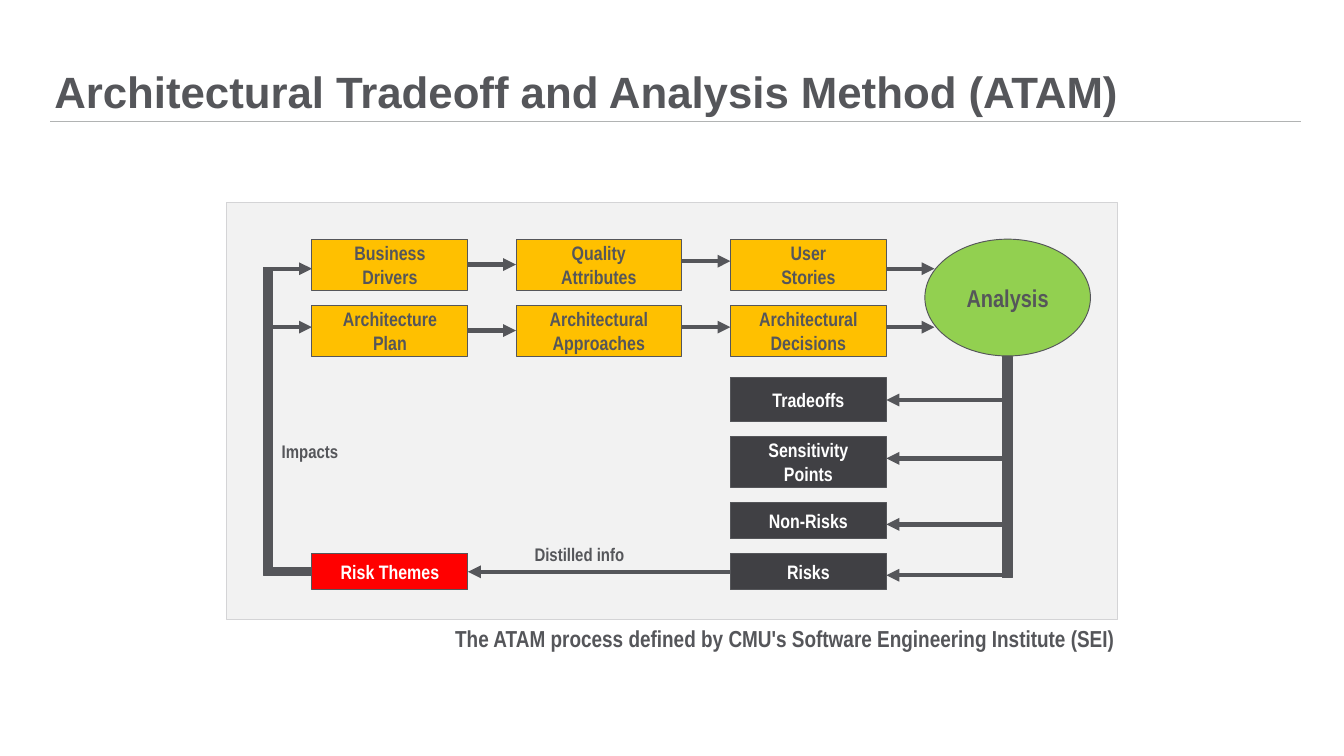
import pptx
import pptx.util
import pptx.dml.color
import pptx.enum.shapes
import pptx.enum.text
import pptx.oxml.ns
from lxml import etree

PX = 9144  # 100 px to the inch
RGB = pptx.dml.color.RGBColor
SHAPE = pptx.enum.shapes.MSO_SHAPE
ALIGN = pptx.enum.text.PP_ALIGN
ANCHOR = pptx.enum.text.MSO_ANCHOR
AUTO = pptx.enum.text.MSO_AUTO_SIZE

GREY, DARK, WHITE = RGB(0x55, 0x56, 0x5A), RGB(0x40, 0x40, 0x44), RGB(255, 255, 255)
AMBER, GREEN, RED = RGB(0xFF, 0xC0, 0), RGB(0x92, 0xD0, 0x50), RGB(255, 0, 0)
PANEL, PANEL_EDGE, RULE = RGB(0xF2, 0xF2, 0xF2), RGB(0xD4, 0xD4, 0xD6), RGB(0xB1, 0xB3, 0xB3)

# Content
TITLE = "Architectural Tradeoff and Analysis Method (ATAM)"
COLUMNS = [(454, 227), (751, 241), (1063, 227)]  # left, width
INPUT_ROWS = [  # top, labels
    (348, ["Business\nDrivers", "Quality\nAttributes", "User\nStories"]),
    (444, ["Architecture\vPlan", "Architectural\nApproaches", "Architectural\nDecisions"]),
]
OUTPUTS = [  # label, top, height, arrow y
    ("Tradeoffs", 550, 64, 582),
    ("Sensitivity\nPoints", 635, 74, 667),
    ("Non-Risks", 731, 53, 763),
    ("Risks", 805, 53, 837),
]
STEP_ARROWS = [(385, 380, 391), (481, 476, 476)]  # y after each column, by row
FEEDBACK_ARROWS = [391, 476]
TRUNKS = [(1459, 518, 14, 323), (383, 391, 14, 436), (383, 826, 71, 11)]
LABELS = [  # text, box, size, alignment
    ("Distilled info", (765, 784, 158, 45), 19.1, ALIGN.LEFT),
    ("Impacts", (397, 635, 109, 45), 19.1, ALIGN.LEFT),
    ("The ATAM process defined by CMU's Software Engineering Institute (SEI)",
     (643, 903, 999, 54), 24.2, ALIGN.CENTER),
]

prs = pptx.Presentation()
prs.slide_width, prs.slide_height = 1956 * PX, 1100 * PX
s = prs.slides.add_slide(prs.slide_layouts[5])


def emu(*lengths):
    return [n * PX for n in lengths]


def write(sp, text, size, color=GREY, font="Arial Narrow", align=ALIGN.CENTER,
          anchor=ANCHOR.MIDDLE, insets=(13, 6), wrap=True):
    tf = sp.text_frame
    tf.text = text
    dx, dy = emu(*insets)
    for name, value in dict(margin_left=dx, margin_right=dx, margin_top=dy, margin_bottom=dy,
                            vertical_anchor=anchor, word_wrap=wrap).items():
        setattr(tf, name, value)
    for p in tf.paragraphs:
        p.alignment = align
        for r in p.runs:
            for name, value in dict(size=pptx.util.Pt(size), name=font, bold=True).items():
                setattr(r.font, name, value)
            r.font.color.rgb = color


def block(box, fill, edge=GREY, kind=SHAPE.RECTANGLE):
    sp = s.shapes.add_shape(kind, *emu(*box))
    sp.shadow.inherit = False
    sp.fill.solid()
    sp.fill.fore_color.rgb = fill
    sp.line.color.rgb = edge
    sp.line.width = pptx.util.Pt(1)
    return sp


def line(x1, y1, x2, y2, color=GREY, width=4.5, arrow=True):
    c = s.shapes.add_connector(pptx.enum.shapes.MSO_CONNECTOR.STRAIGHT, *emu(x1, y1, x2, y2))
    c.line.color.rgb = color
    c.line.width = pptx.util.Pt(width)
    if arrow:
        tail = etree.SubElement(c.line._get_or_add_ln(), pptx.oxml.ns.qn("a:tailEnd"))
        tail.set("type", "triangle")
    etree.SubElement(c._element.spPr, pptx.oxml.ns.qn("a:effectLst"))


# Title and rule
title = s.shapes.title
title.left, title.top, title.width, title.height = emu(79, 0, 1815, 172)
write(title, TITLE, 45.9, font="Arial", align=ALIGN.LEFT, anchor=ANCHOR.BOTTOM, insets=(0, 0))
title.text_frame.paragraphs[0].line_spacing = 0.9
line(73, 177, 1894, 177, RULE, 1, arrow=False)

# Panel and analysis
block((329, 295, 1297, 606), PANEL, PANEL_EDGE)
analysis = block((1346, 348, 241, 170), GREEN, kind=SHAPE.OVAL)
write(analysis, "Analysis", 25.5, insets=(0, 6))

# Inputs, each with an arrow to the next column or to the analysis
next_lefts = [left for left, _ in COLUMNS[1:]] + [1360]
for (top, labels), ys in zip(INPUT_ROWS, STEP_ARROWS):
    for (left, width), text, y, target in zip(COLUMNS, labels, ys, next_lefts):
        write(block((left, top, width, 74), AMBER), text, 20.4)
        line(left + width, y, target, y)

# Outputs, fed from the trunk below the analysis
for box in TRUNKS:
    block(box, GREY)
left, width = COLUMNS[2]
for text, top, height, y in OUTPUTS:
    write(block((left, top, width, height), DARK), text, 20.4, WHITE)
    line(1459, y, left + width, y)

# Risk themes and feedback to the inputs
theme_left, theme_width = COLUMNS[0]
write(block((theme_left, 805, theme_width, 53), RED), "Risk Themes", 20.4, WHITE)
line(left, 832, theme_left + theme_width, 832)
for y in FEEDBACK_ARROWS:
    line(383, y, theme_left, y)

# Labels and caption
for text, box, size, align in LABELS:
    tb = s.shapes.add_textbox(*emu(*box))
    write(tb, text, size, align=align, anchor=ANCHOR.TOP, wrap=False)
    tb.text_frame.auto_size = AUTO.SHAPE_TO_FIT_TEXT

prs.save("out.pptx")
